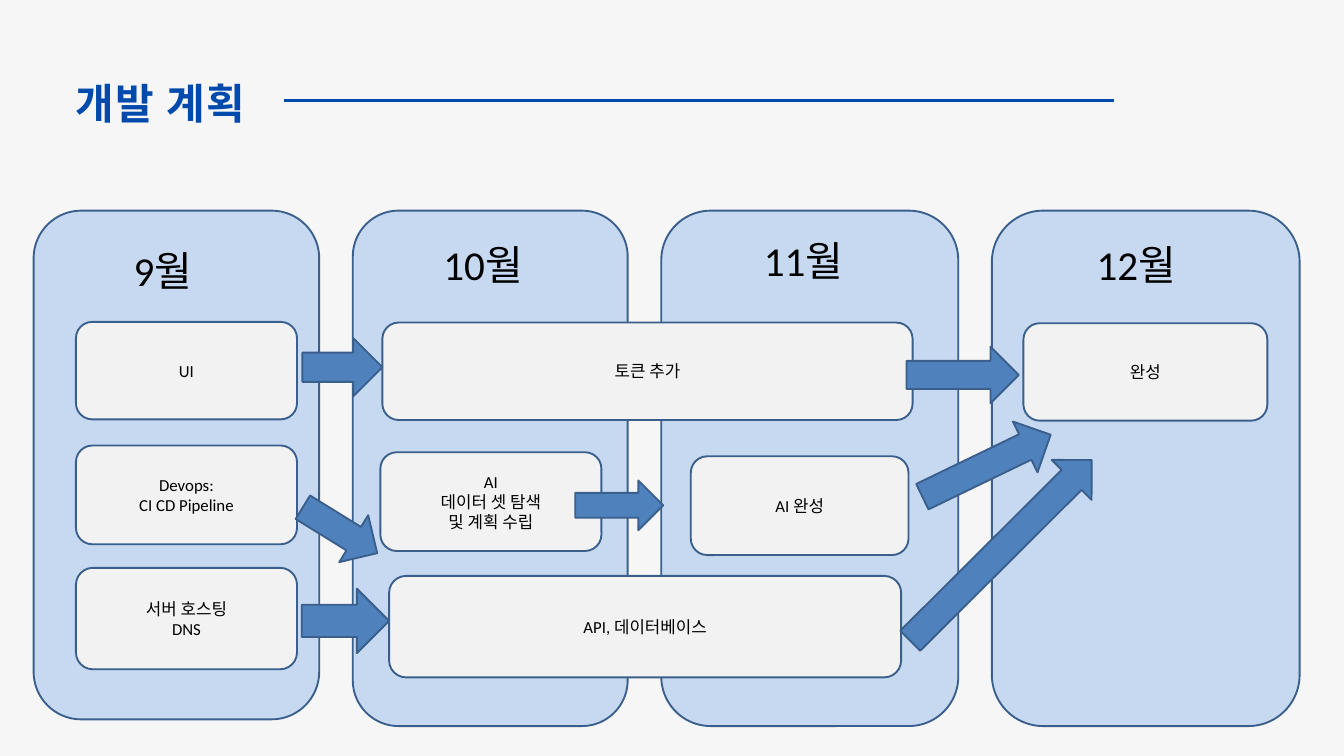
from itertools import accumulate
from pptx import Presentation
from pptx.dml.color import RGBColor
from pptx.enum.shapes import MSO_CONNECTOR, MSO_SHAPE
from pptx.enum.text import MSO_ANCHOR, PP_ALIGN
from pptx.util import Inches, Pt
from lxml import etree

ROUND, ARROW = MSO_SHAPE.ROUNDED_RECTANGLE, MSO_SHAPE.RIGHT_ARROW
STRAIGHT = MSO_CONNECTOR.STRAIGHT
MIDDLE, TOP = MSO_ANCHOR.MIDDLE, MSO_ANCHOR.TOP
CENTER, LEFT, JUSTIFY = PP_ALIGN.CENTER, PP_ALIGN.LEFT, PP_ALIGN.JUSTIFY
DRAW = "http://schemas.openxmlformats.org/drawingml/2006/main"

WIDE, HIGH = 20, 11.25
BLUE, EDGE, PALE, CARD, FLOW = "004AAD", "3A5F8C", "C6D9F1", "F2F2F2", "4F81BD"

# Content: month, panel width, panel height, label inset, label top
GAP, PANEL_TOP = 0.5, 3.135
MONTHS = [
    ("9월", 4.25, 7.57, 1.39, 3.6),
    ("10월", 4.09, 7.67, 1.25, 3.51),
    ("11월", 4.42, 7.67, 1.43, 3.46),
    ("12월", 4.58, 7.67, 1.46, 3.51),
]
# Row top and card height
ROWS = [(4.79, 1.45), (6.63, 1.47), (8.45, 1.51)]
# Task lines, column, row, inset from column, drop from row, width
TASKS = [
    (["UI"], 0, 0, 0.63, 0, 3.29),
    (["Devops:", "CI CD Pipeline"], 0, 1, 0.63, 0, 3.29),
    (["서버 호스팅", "DNS"], 0, 2, 0.63, 0, 3.29),
    (["토큰 추가"], 1, 0, 0.44, 0.01, 7.89),
    (["AI", "데이터 셋 탐색", "및 계획 수립"], 1, 1, 0.41, 0.1, 3.29),
    (["API, 데이터베이스"], 1, 2, 0.54, 0.12, 7.62),
    (["AI 완성"], 2, 1, 0.44, 0.16, 3.24),
    (["완성"], 3, 0, 0.47, 0.02, 3.63),
]
# Arrow left, top, width, height, turn
ARROWS = [
    (8.56, 7.15, 1.31, 0.74, 0),
    (4.41, 7.48, 1.3, 0.82, 31.7),
    (13.49, 5.16, 1.67, 0.84, 0),
    (12.99, 7.77, 3.81, 0.84, 315.1),
    (13.62, 6.51, 2.12, 0.84, 334.2),
    (4.5, 5.03, 1.19, 0.87, 0),
    (4.49, 8.76, 1.3, 0.96, 0),
]


def color(code):
    return RGBColor.from_string(code)


def write(shape, lines, size, align, anchor, name="Calibri", ink="000000", bold=False):
    frame = shape.text_frame
    frame.word_wrap = True
    frame.vertical_anchor = anchor
    for i, line in enumerate(lines):
        para = frame.paragraphs[0] if i == 0 else frame.add_paragraph()
        para.alignment = align
        run = para.add_run()
        run.text = line
        for key, value in {"name": name, "size": Pt(size), "bold": bold}.items():
            setattr(run.font, key, value)
        run.font.color.rgb = color(ink)
    return frame


def block(kind, box, fill, turn=0):
    shape = slide.shapes.add_shape(kind, *map(Inches, box))
    shape.shadow.inherit = False
    shape.fill.solid()
    shape.fill.fore_color.rgb = color(fill)
    shape.line.color.rgb = color(EDGE)
    shape.line.width = Pt(2)
    shape.rotation = turn
    return shape


def label(box):
    return slide.shapes.add_textbox(*map(Inches, box))


deck = Presentation()
deck.slide_width, deck.slide_height = Inches(WIDE), Inches(HIGH)
slide = deck.slides.add_slide(deck.slide_layouts[6])
slide.background.fill.solid()
slide.background.fill.fore_color.rgb = color("F6F6F6")

# Title and rule
frame = write(label((1.12, 1.03, 6.89, 0.84)), ["개발 계획"], 45, JUSTIFY, TOP,
              "Montserrat", BLUE, True)
for side in ("left", "top", "right", "bottom"):
    setattr(frame, "margin_" + side, 0)
title = frame.paragraphs[0]
title.line_spacing = Pt(63)
title.runs[0].font._element.set("spc", "160")

rule = slide.shapes.add_connector(STRAIGHT, *map(Inches, (4.23, 1.5, 16.58, 1.5)))
rule.line.color.rgb = color(BLUE)
rule.line.width = Pt(3)
etree.SubElement(rule._element.spPr, f"{{{DRAW}}}effectLst")

# Month panels, then their labels
cols = list(accumulate((m[1] + GAP for m in MONTHS[:-1]), initial=GAP))
for x, (_, w, h, _, _) in zip(cols, MONTHS):
    block(ROUND, (x, PANEL_TOP, w, h), PALE)
for x, (month, _, _, inset, top) in zip(cols, MONTHS):
    write(label((x + inset, top, 3.11, 0.84)), [month], 44, LEFT, TOP)

# Task cards
for lines, col, row, inset, drop, w in TASKS:
    top, h = ROWS[row]
    card = block(ROUND, (cols[col] + inset, top + drop, w, h), CARD)
    write(card, lines, 18, CENTER, MIDDLE)

# Flow arrows
for *box, turn in ARROWS:
    block(ARROW, box, FLOW, turn)

deck.save("out.pptx")
